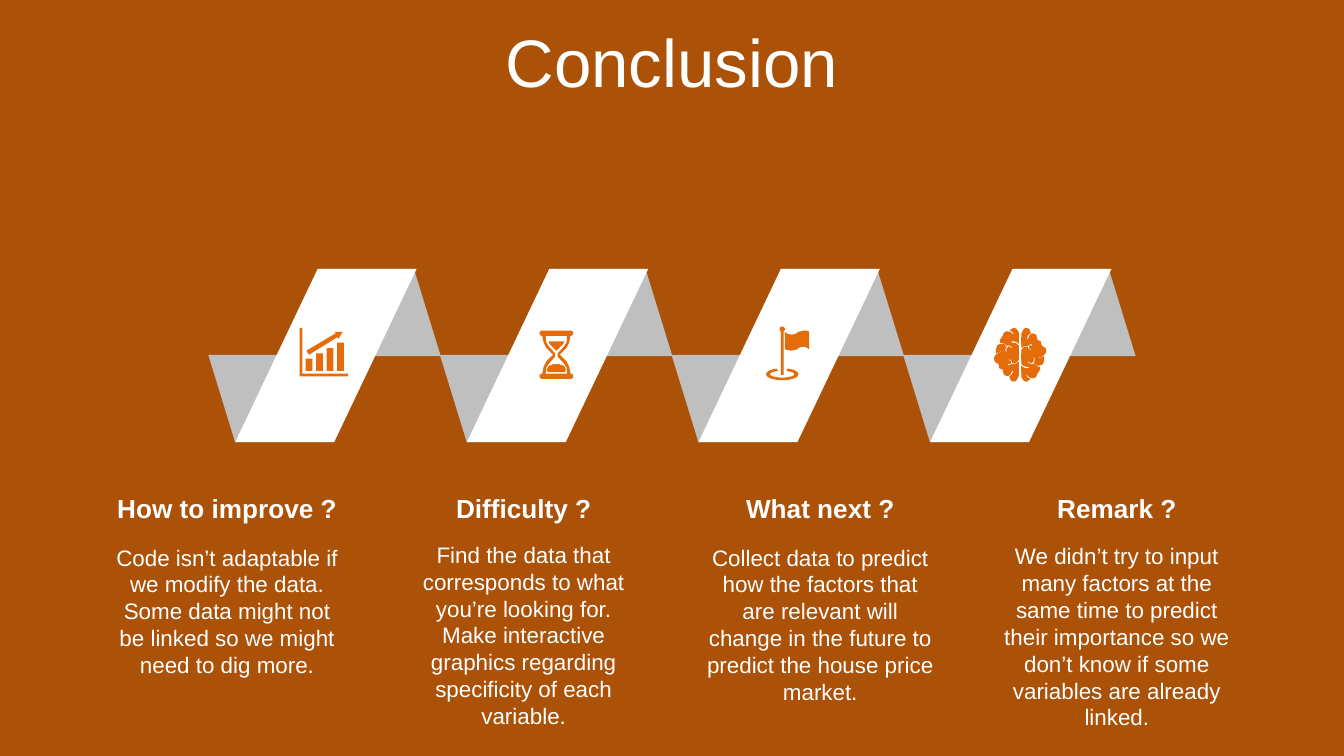
from dataclasses import dataclass
from math import cos, radians, sin

from pptx import Presentation
from pptx.dml.color import RGBColor
from pptx.enum import shapes, text
from pptx.util import Inches, Pt


@dataclass(frozen=True)
class Theme:
    background: RGBColor = RGBColor.from_string("AB5108")
    white: RGBColor = RGBColor.from_string("FFFFFF")
    shade: RGBColor = RGBColor.from_string("BFBFBF")
    icon: RGBColor = RGBColor.from_string("E46C0A")
    font: str = "Arial"
    title_size: int = 36
    heading_size: int = 14
    body_size: int = 12


THEME = Theme()
HUNDREDTHS = 100


def paint(shape, color):
    shape.shadow.inherit = False
    shape.fill.solid()
    shape.fill.fore_color.rgb = color
    shape.line.fill.background()


def add_outline(slide, left, top, contours_in_hundredths, color):
    scaled = [[(x * 10, y * 10) for x, y in contour] for contour in contours_in_hundredths]
    builder = slide.shapes.build_freeform(*scaled[0][0], scale=Inches(1) / (HUNDREDTHS * 10))
    for index, contour in enumerate(scaled):
        if index:
            builder.move_to(*contour[0])
        builder.add_line_segments(contour[1:], close=True)
    paint(builder.convert_to_shape(Inches(left), Inches(top)), color)


def add_text(slide, left, top, width, height, words, size, bold=False):
    box = slide.shapes.add_textbox(Inches(left), Inches(top), Inches(width), Inches(height))
    frame = box.text_frame
    frame.word_wrap = True
    frame.vertical_anchor = text.MSO_ANCHOR.MIDDLE
    paragraph = frame.paragraphs[0]
    paragraph.text = words
    paragraph.alignment = text.PP_ALIGN.CENTER
    paragraph.font.name = THEME.font
    paragraph.font.size = Pt(size)
    paragraph.font.bold = bold
    paragraph.font.color.rgb = THEME.white


def rectangle(left, top, right, bottom):
    return [(left, top), (right, top), (right, bottom), (left, bottom)]


def arc(x, y, radius_x, radius_y, start, stop):
    angles = [radians(angle) for angle in range(start, stop + 1, 10)]
    return [(x + radius_x * cos(a), y + radius_y * sin(a)) for a in angles]


def mirrored(half):
    return half + [(-x, y) for x, y in reversed(half)]


def chart_icon():
    bars = [rectangle(-13.5 + 7.8 * i, 3 - 4 * i, -8.5 + 7.8 * i, 12) for i in range(4)]
    arrow = [(8, -17), (14, -17), (11, -12), (10, -13), (-11, 0), (-13, -3), (9, -16)]
    axes = [(-18, -20), (-16, -20), (-16, 14), (18, 14), (18, 16), (-18, 16)]
    return bars + [arrow, axes]


def hourglass_icon():
    upper = [(11, -18), (12.5, -17), (12.5, -15), (11, -14), (10.5, -14),
             (9.5, -9), (7.5, -5)]
    frame = upper + [(2.5, 0)] + [(x, -y) for x, y in reversed(upper)]
    glass = [(8, -14), (7.5, -9), (5.5, -6), (1, -1),
             (1, 1.5), (5.5, 6.5), (7.5, 9.5), (8, 14)]
    upper_sand = [(6, -10), (5, -8), (0, -3)]
    lower_sand = [(2, 7), (6, 8.5), (7, 11), (6.5, 13)]
    return [mirrored(half) for half in (frame, glass, upper_sand, lower_sand)]


def flag_icon():
    ring = arc(-4, 14.5, 12, 4.5, -70, 250) + arc(-4, 14.5, 9, 2.5, -70, 250)[::-1]
    cloth = [(-2, -17), (0, -15.5), (3, -15), (6, -15.5), (8, -17), (12, -18), (15, -18),
             (16, -17), (16, -4), (14, -5.5), (12, -6), (9, -5.5), (7, -4), (3, -3), (-2, -4)]
    return [ring, cloth, rectangle(-5, -17, -3, 15), arc(-4, -19, 2, 2, 0, 350)]


def brain_icon():
    half = [(5, -20), (7, -19), (8, -16), (6, -14.5), (5, -12), (6, -12), (7, -14.5), (9, -16),
            (12, -15), (13, -11), (15.5, -10), (16, -7), (19, -5), (19.5, -2), (18, 0),
            (16, 1.5), (14, 2), (14, 2.6), (18, 1), (18, 4), (17, 7), (15, 8), (12, 8),
            (10, 6), (11, 4), (10.5, 2), (10, 2), (10.3, 4), (9, 6), (8, 6.3), (6, 5),
            (5.5, 5.5), (8, 7), (10, 6.7), (12, 8.5), (15, 9), (15, 11), (13, 14),
            (12, 16.5), (10, 17.5), (7, 17), (5, 15), (4.5, 15), (6, 17.3), (8, 18),
            (5, 20), (3, 19.5), (1, 17), (0.8, 8), (3, 9.8), (7, 10), (6, 9), (3, 8.7),
            (1, 7), (0.8, 2), (1, -4), (3, -6), (6, -6), (6, -5), (8, -3), (8, -4),
            (6.7, -5), (7, -7), (9, -7), (9, -8), (7, -7.5), (6, -6.6), (3, -6.6), (1, -5),
            (0.8, -10), (1, -16), (3, -19.5)]
    return [half, [(-x, -y) for x, y in half]]


def add_ribbon_fold(slide, left, top):
    strip = [(0, 0), (70, 0), (90, 65), (20, 65)]
    add_outline(slide, left, top + 0.64, [strip], THEME.shade)
    add_outline(slide, left + 0.83, top, [strip], THEME.shade)
    band = slide.shapes.add_shape(
        shapes.MSO_SHAPE.PARALLELOGRAM,
        Inches(left + 0.2), Inches(top), Inches(1.35), Inches(1.29))
    band.adjustments[0] = 0.476
    paint(band, THEME.white)


def add_conclusion(slide, left, top, heading, body, body_offset, body_height):
    add_text(slide, left, top + body_offset, 1.92, body_height, body, THEME.body_size)
    add_text(slide, left, top, 1.92, 0.34, heading, THEME.heading_size, bold=True)


CONCLUSIONS = [
    ("How to improve ?",
     "Code isn’t adaptable if we modify the data. Some data might not be linked "
     "so we might need to dig more.", 0.38, 1.11),
    ("Difficulty ?",
     "Find the data that corresponds to what you’re looking for. Make interactive "
     "graphics regarding specificity of each variable.", 0.36, 1.51),
    ("What next ?",
     "Collect data to predict how the factors that are relevant will change in the "
     "future to predict the house price market.", 0.38, 1.31),
    ("Remark ?",
     "We didn’t try to input many factors at the same time to predict their importance "
     "so we don’t know if some variables are already linked.", 0.37, 1.51),
]


def main():
    presentation = Presentation()
    presentation.slide_width = Inches(10)
    presentation.slide_height = presentation.slide_width * 9 // 16
    slide = presentation.slides.add_slide(presentation.slide_layouts[6])
    slide.background.fill.solid()
    slide.background.fill.fore_color.rgb = THEME.background
    add_text(slide, 0, 0.14, 10, 0.63, "Conclusion", THEME.title_size)

    fold_pitch = (6.72 - 1.55) / 3
    column_pitch = (7.35 - 0.73) / 3
    for index in range(len(CONCLUSIONS)):
        add_ribbon_fold(slide, 1.55 + fold_pitch * index, 2)
    for index, conclusion in enumerate(CONCLUSIONS):
        add_conclusion(slide, 0.73 + column_pitch * index, 3.61, *conclusion)
    icons = [chart_icon(), hourglass_icon(), flag_icon(), brain_icon()]
    for center, icon in zip((2.41, 4.14, 5.86, 7.59), icons):
        add_outline(slide, center, 2.64, icon, THEME.icon)
    presentation.save("out.pptx")


if __name__ == "__main__":
    main()
